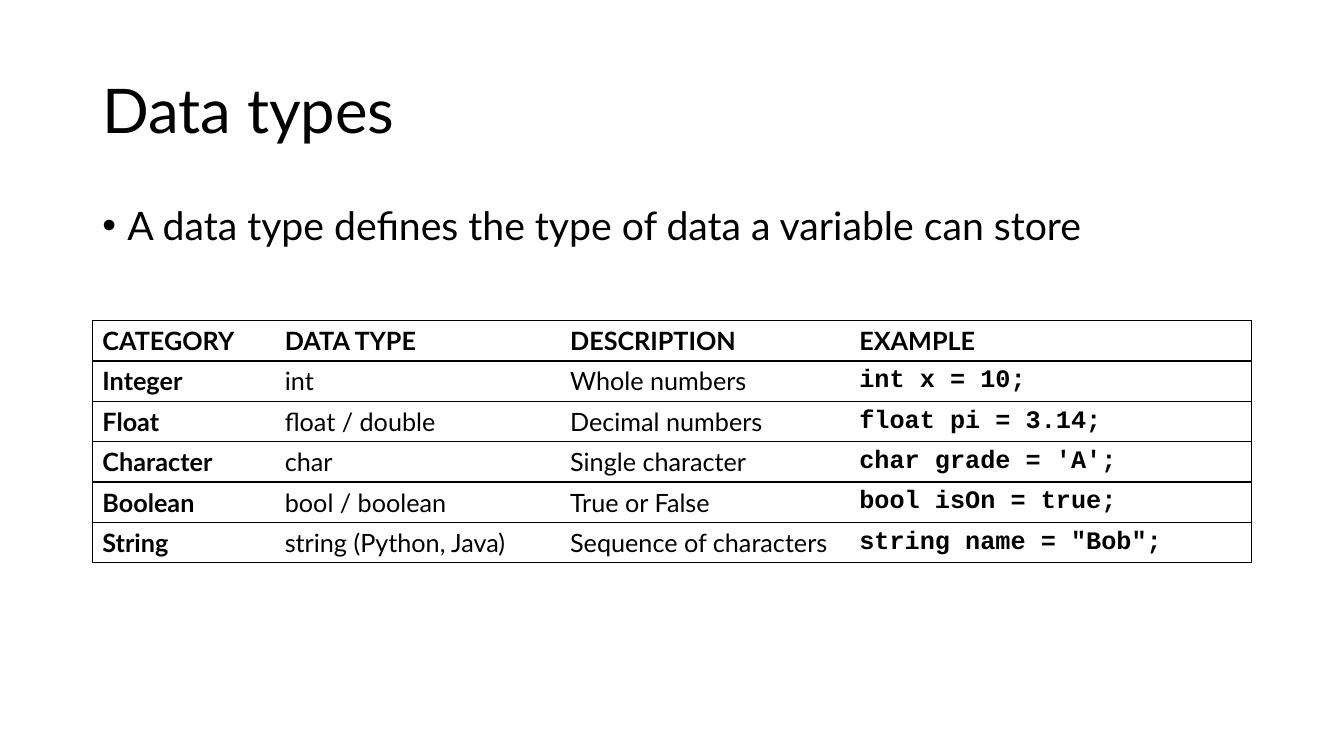
from lxml.etree import SubElement
from pptx import Presentation
from pptx.dml.color import RGBColor
from pptx.enum.text import MSO_ANCHOR as Anchor, MSO_AUTO_SIZE as AutoSize, PP_ALIGN as Align
from pptx.oxml.ns import qn
from pptx.util import Pt

# Content
TITLE = "Data types"
DEFINITION = "A data type defines the type of data a variable can store"
HEADINGS = ("CATEGORY", "DATA TYPE", "DESCRIPTION", "EXAMPLE")
DATA_TYPES = [
    ("Integer", "int", "Whole numbers", "int x = 10;"),
    ("Float", "float / double", "Decimal numbers", "float pi = 3.14;"),
    ("Character", "char", "Single character", "char grade = 'A';"),
    ("Boolean", "bool / boolean", "True or False", "bool isOn = true;"),
    ("String", "string (Python, Java)", "Sequence of characters", 'string name = "Bob";'),
]


class Theme:
    ink, paper = RGBColor(0, 0, 0), RGBColor(255, 255, 255)
    font, code_font = "Lato", "Courier New"
    title_size, body_size, table_size = 44, 28, 18
    rule_width = 1


# Layout in points
SLIDE_SIZE = (960, 540)
LEFT, WIDTH = 66, 828
TITLE_TOP, TITLE_HEIGHT = 28.75, 104.4
BODY_TOP, BODY_HEIGHT = 143.75, 342.6
TABLE_TOP, ROW_HEIGHT = 229, 28.8
COLUMN_WIDTHS = (130.3, 203.8, 206.6, 287.3)
BULLET_INDENT = 18


def style(paragraph, size, bold=False, name=Theme.font):
    font = paragraph.font
    font.name, font.size, font.bold = name, Pt(size), bold
    font.color.rgb = Theme.ink


def place(shape, top, height):
    shape.left, shape.top, shape.width, shape.height = map(Pt, (LEFT, top, WIDTH, height))


def set_borders(cell, shown):
    properties = cell._tc.get_or_add_tcPr()
    for position, side in enumerate("LRTB"):
        border = properties.makeelement(qn(f"a:ln{side}"), {"w": str(Pt(Theme.rule_width))})
        properties.insert(position, border)
        if side in shown:
            fill = SubElement(border, qn("a:solidFill"))
            SubElement(fill, qn("a:srgbClr"), val=str(Theme.ink))
        else:
            SubElement(border, qn("a:noFill"))


deck = Presentation()
deck.slide_width, deck.slide_height = map(Pt, SLIDE_SIZE)
slide = deck.slides.add_slide(deck.slide_layouts[5])
slide.background.fill.solid()
slide.background.fill.fore_color.rgb = Theme.paper

# Title
title = slide.shapes.title
place(title, TITLE_TOP, TITLE_HEIGHT)
title.text_frame.text = TITLE
title.text_frame.auto_size = AutoSize.NONE
title.text_frame.vertical_anchor = Anchor.MIDDLE
heading = title.text_frame.paragraphs[0]
heading.alignment, heading.line_spacing = Align.LEFT, 0.9
style(heading, Theme.title_size)

# Bulleted definition
body = slide.shapes.add_textbox(0, 0, 0, 0)
place(body, BODY_TOP, BODY_HEIGHT)
body.text_frame.word_wrap = True
definition = body.text_frame.paragraphs[0]
definition.text, definition.line_spacing = DEFINITION, 0.9
bullet_format = definition._p.get_or_add_pPr()
bullet_format.set("marL", str(Pt(BULLET_INDENT)))
bullet_format.set("indent", str(-Pt(BULLET_INDENT)))
SubElement(bullet_format, qn("a:buFont"), typeface="Arial")
SubElement(bullet_format, qn("a:buChar"), char="•")
style(definition, Theme.body_size)

# Table of data types: ruled rows inside an outer frame
rows = [HEADINGS, *DATA_TYPES]
last_column = len(HEADINGS) - 1
table = slide.shapes.add_table(
    len(rows), len(HEADINGS), Pt(LEFT), Pt(TABLE_TOP), Pt(WIDTH), Pt(ROW_HEIGHT * len(rows))
).table
table.first_row = table.horz_banding = False
for column, width in zip(table.columns, COLUMN_WIDTHS):
    column.width = Pt(width)
for r, row in enumerate(rows):
    table.rows[r].height = Pt(ROW_HEIGHT)
    for c, entry in enumerate(row):
        cell = table.cell(r, c)
        cell.text, cell.vertical_anchor = entry, Anchor.MIDDLE
        cell.fill.solid()
        cell.fill.fore_color.rgb = Theme.paper
        is_code = r > 0 and c == last_column
        style(
            cell.text_frame.paragraphs[0],
            Theme.table_size,
            bold=r == 0 or c in (0, last_column),
            name=Theme.code_font if is_code else Theme.font,
        )
        set_borders(cell, "TB" + {0: "L", last_column: "R"}.get(c, ""))

deck.save("out.pptx")
